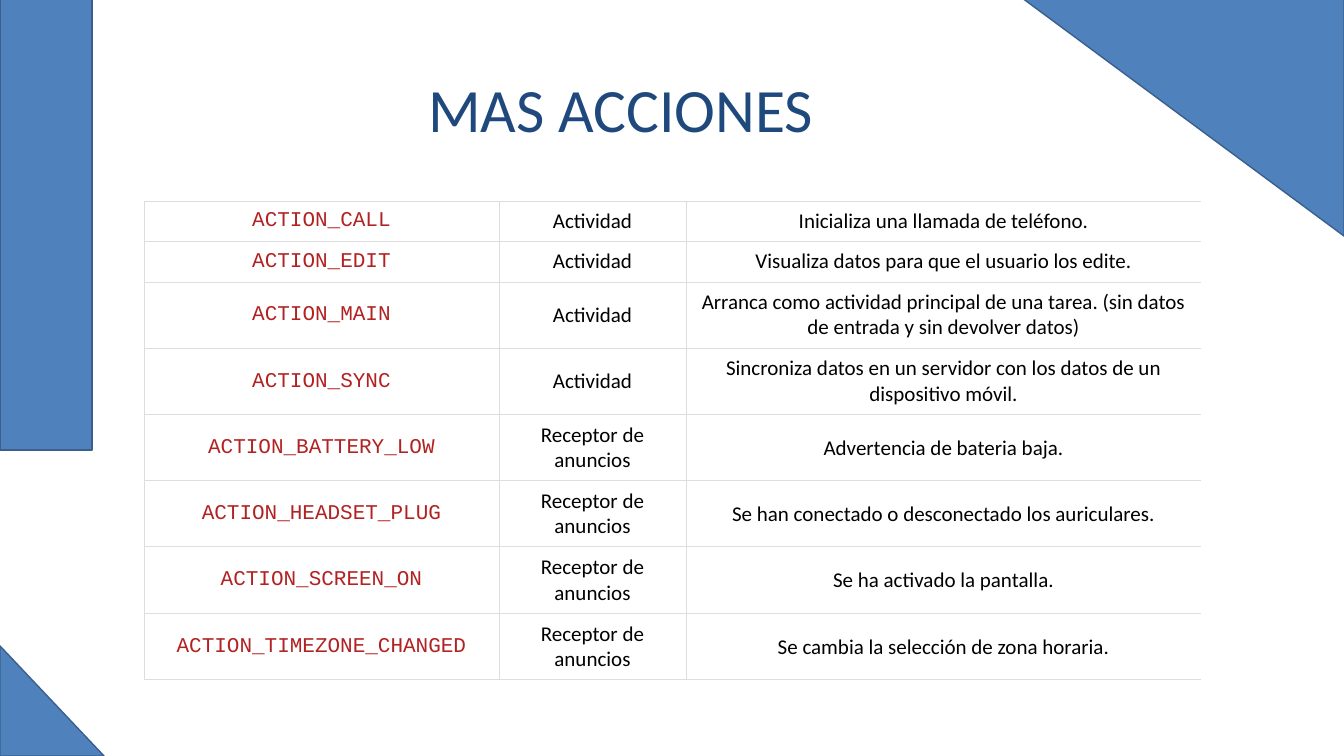
from dataclasses import dataclass

from pptx import Presentation
from pptx.dml.color import RGBColor as RGB
from pptx.enum.shapes import MSO_SHAPE as Shape
from pptx.enum.text import MSO_ANCHOR as Anchor, PP_ALIGN as Align
from pptx.oxml import parse_xml
from pptx.oxml.ns import nsdecls
from pptx.util import Emu, Pt

ACTIVITY, RECEIVER = "Actividad", "Receptor de anuncios"
ACTIONS = [
    ("ACTION_CALL", ACTIVITY, "Inicializa una llamada de teléfono."),
    ("ACTION_EDIT", ACTIVITY, "Visualiza datos para que el usuario los edite."),
    ("ACTION_MAIN", ACTIVITY, "Arranca como actividad principal de una tarea. "
     "(sin datos de entrada y sin devolver datos)"),
    ("ACTION_SYNC", ACTIVITY, "Sincroniza datos en un servidor con los datos de un dispositivo móvil."),
    ("ACTION_BATTERY_LOW", RECEIVER, "Advertencia de bateria baja."),
    ("ACTION_HEADSET_PLUG", RECEIVER, "Se han conectado o desconectado los auriculares."),
    ("ACTION_SCREEN_ON", RECEIVER, "Se ha activado la pantalla."),
    ("ACTION_TIMEZONE_CHANGED", RECEIVER, "Se cambia la selección de zona horaria."),
]
COLUMNS = [355, 187, 515]
ROW_EDGES = [201, 241, 282, 348, 415, 481, 547, 614, 680]


@dataclass(frozen=True)
class Theme:
    accent: str = "4F81BD"
    outline: str = "3A5F8C"
    title: str = "1F497D"
    code: str = "B22222"
    text: str = "000000"
    cell: str = "FFFFFF"
    grid: str = "DDDDDD"
    font: str = "Calibri"
    code_font: str = "Courier New"
    title_size: int = 44
    cell_size: int = 15


def px(n):
    return Emu(round(n * 914400 / 100.8))


class Deck:
    """Draws styled elements on the current slide."""

    def __init__(self, theme):
        self.theme = theme
        self.prs = Presentation()
        self.prs.slide_width, self.prs.slide_height = px(1344), px(756)
        self.s = self.prs.slides.add_slide(self.prs.slide_layouts[5])

    def style(self, p, font, size, color):
        p.alignment = Align.CENTER
        p.font.name, p.font.size = font, Pt(size)
        p.font.color.rgb = RGB.from_string(color)

    def title(self, text, x, y, w, h):
        sp = self.s.shapes.title
        sp.left, sp.top, sp.width, sp.height = map(px, (x, y, w, h))
        tf = sp.text_frame
        tf.text, tf.vertical_anchor = text, Anchor.MIDDLE
        p = tf.paragraphs[0]
        p.line_spacing = 0.9
        self.style(p, self.theme.font, self.theme.title_size, self.theme.title)

    def decoration(self, kind, x, y, w, h, rotation=0):
        sp = self.s.shapes.add_shape(kind, *map(px, (x, y, w, h)))
        sp.rotation = rotation
        sp.shadow.inherit = False
        sp.fill.solid()
        sp.fill.fore_color.rgb = RGB.from_string(self.theme.accent)
        sp.line.color.rgb = RGB.from_string(self.theme.outline)
        sp.line.width = Pt(1)

    def borders(self, cell, open_right):
        tcPr = cell._tc.get_or_add_tcPr()
        grid = f'<a:solidFill><a:srgbClr val="{self.theme.grid}"/></a:solidFill>'
        for side in "LRTB":
            fill = "<a:noFill/>" if side == "R" and open_right else grid
            tcPr.append(parse_xml(f'<a:ln{side} {nsdecls("a")} w="{Pt(0.75)}">{fill}</a:ln{side}>'))

    def cell(self, cell, text, is_code, open_right):
        t = self.theme
        cell.text, cell.vertical_anchor = text, Anchor.MIDDLE
        cell.margin_left = cell.margin_right = cell.margin_top = cell.margin_bottom = px(7)
        self.borders(cell, open_right)
        cell.fill.solid()
        cell.fill.fore_color.rgb = RGB.from_string(t.cell)
        font, color = (t.code_font, t.code) if is_code else (t.font, t.text)
        self.style(cell.text_frame.paragraphs[0], font, t.cell_size, color)

    def table(self, rows, x, columns, edges):
        frame = self.s.shapes.add_table(len(rows), len(columns), px(x), px(edges[0]),
                                        px(sum(columns)), px(edges[-1] - edges[0]))
        tbl = frame.table
        tbl.first_row = tbl.horz_banding = False
        for column, width in zip(tbl.columns, columns):
            column.width = px(width)
        for i, texts in enumerate(rows):
            tbl.rows[i].height = px(edges[i + 1] - edges[i])
            for j, text in enumerate(texts):
                self.cell(tbl.cell(i, j), text, j == 0, j == len(columns) - 1)


def main():
    deck = Deck(Theme())
    deck.decoration(Shape.RECTANGLE, 0, -1, 92, 451)
    deck.decoration(Shape.RIGHT_TRIANGLE, 1018, -5, 326, 241, rotation=180)
    deck.decoration(Shape.RIGHT_TRIANGLE, 0, 646, 104, 110)
    deck.title("MAS ACCIONES", 168, 40, 906, 146)
    deck.table(ACTIONS, 144, COLUMNS, ROW_EDGES)
    deck.prs.save("out.pptx")


if __name__ == "__main__":
    main()
